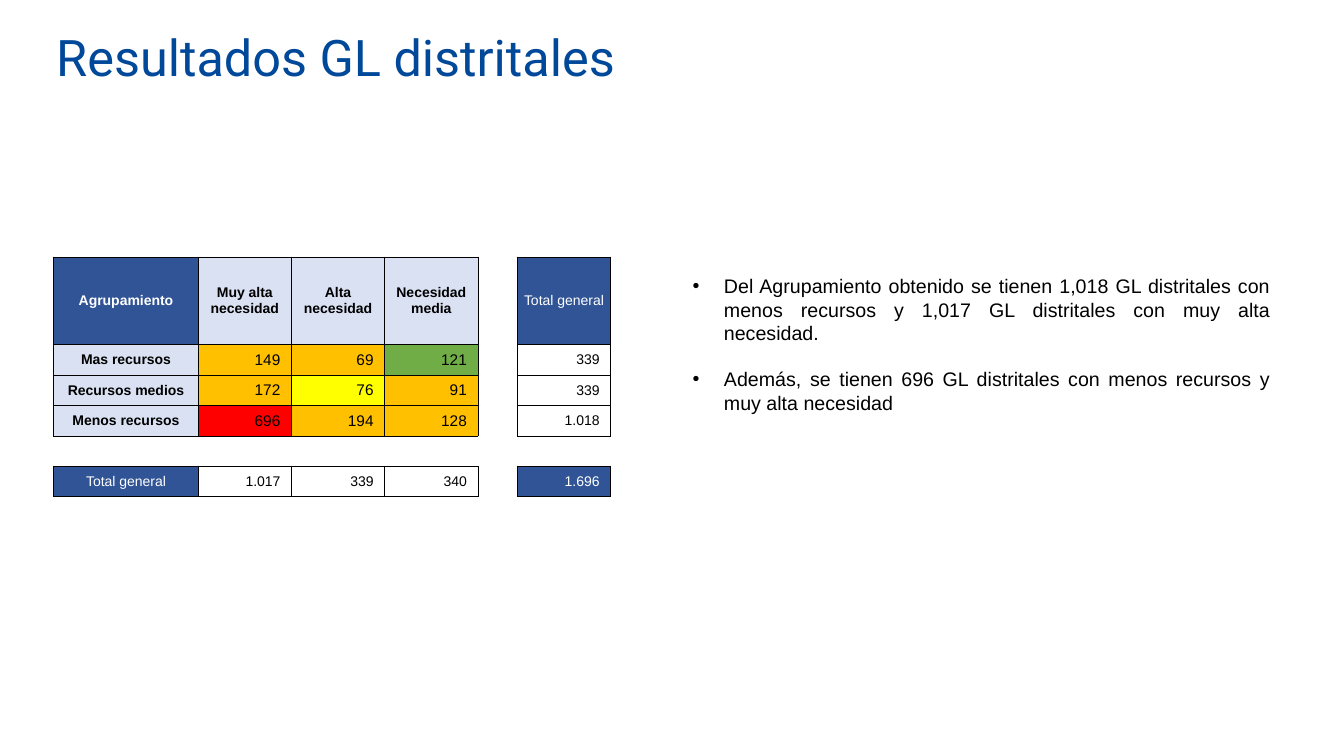
import pptx
import pptx.dml.color
import pptx.enum.text
import pptx.oxml
import pptx.oxml.ns
import pptx.util

RGBColor = pptx.dml.color.RGBColor
Align = pptx.enum.text.PP_ALIGN
Anchor = pptx.enum.text.MSO_ANCHOR
Pt = pptx.util.Pt
Inches = pptx.util.Inches

TITLE_BLUE = RGBColor(0x00, 0x48, 0x99)
NAVY = RGBColor(0x30, 0x54, 0x96)
PALE = RGBColor(0xD9, 0xE1, 0xF2)
AMBER = RGBColor(0xFF, 0xC0, 0x00)
GREEN = RGBColor(0x70, 0xAD, 0x47)
YELLOW = RGBColor(0xFF, 0xFF, 0x00)
RED = RGBColor(0xFF, 0x00, 0x00)
WHITE = RGBColor(0xFF, 0xFF, 0xFF)
BLACK = RGBColor(0x00, 0x00, 0x00)

CENTRE = {"alignment": Align.CENTER}
RIGHT = {"alignment": Align.RIGHT}
LABEL = {"name": "Arial", "size": Pt(10), "bold": True}
PLAIN = {**LABEL, "bold": False}
COUNT = {**PLAIN, "size": Pt(11)}

CELL_STYLES = {
    "corner": (NAVY, WHITE, LABEL, CENTRE),
    "heading": (PALE, BLACK, LABEL, CENTRE),
    "total": (NAVY, WHITE, PLAIN, CENTRE),
    "sum": (WHITE, BLACK, PLAIN, RIGHT),
    "grand": (NAVY, WHITE, PLAIN, RIGHT),
    "amber": (AMBER, BLACK, COUNT, RIGHT),
    "green": (GREEN, BLACK, COUNT, RIGHT),
    "yellow": (YELLOW, BLACK, COUNT, RIGHT),
    "red": (RED, BLACK, COUNT, RIGHT),
    "gap": (WHITE, BLACK, PLAIN, CENTRE),
}
GAP = ("", "gap")
GROUPS = [
    [("Agrupamiento", "corner"), ("Muy alta necesidad", "heading"),
     ("Alta necesidad", "heading"), ("Necesidad media", "heading"),
     GAP, ("Total general", "total")],
    [("Mas recursos", "heading"), ("149", "amber"), ("69", "amber"),
     ("121", "green"), GAP, ("339", "sum")],
    [("Recursos medios", "heading"), ("172", "amber"), ("76", "yellow"),
     ("91", "amber"), GAP, ("339", "sum")],
    [("Menos recursos", "heading"), ("696", "red"), ("194", "amber"),
     ("128", "amber"), GAP, ("1.018", "sum")],
    [GAP] * 6,
    [("Total general", "total"), ("1.017", "sum"), ("339", "sum"),
     ("340", "sum"), GAP, ("1.696", "grand")],
]
COLUMN_SHARES = [10.75, 6.94, 6.94, 6.94, 2.93, 6.94]
ROW_SHARES = [11.6, 4.03, 4.03, 4.03, 3.87, 3.87]
FINDINGS = [
    "Del Agrupamiento obtenido se tienen 1,018 GL distritales con menos "
    "recursos y 1,017 GL distritales con muy alta necesidad.",
    "Además, se tienen 696 GL distritales con menos recursos y muy alta necesidad",
]
EDGES = {"lnL": (0, -1), "lnR": (0, 1), "lnT": (-1, 0), "lnB": (1, 0)}


def apply(target, values):
    for name, value in values.items():
        setattr(target, name, value)


class SlideBuilder:
    """Draws styled elements on one slide, placed in percent of its size."""

    def __init__(self, deck):
        self.deck = deck
        self.slide = deck.slides.add_slide(deck.slide_layouts[6])

    def across(self, share):
        return round(self.deck.slide_width * share / 100)

    def down(self, share):
        return round(self.deck.slide_height * share / 100)

    def add_words(self, para, text, font, colour, layout):
        apply(para, layout)
        span = para.add_run()
        span.text = text
        apply(span.font, font)
        span.font.color.rgb = colour

    def frame(self, left, top, width, height, values):
        box = self.slide.shapes.add_textbox(
            self.across(left), self.down(top), self.across(width), self.down(height))
        apply(box.text_frame, {"word_wrap": True, **values})
        return box.text_frame

    def title(self, text, *place):
        frame = self.frame(*place, {"vertical_anchor": Anchor.MIDDLE})
        self.add_words(frame.paragraphs[0], text, {"name": "Roboto", "size": Pt(36)},
                       TITLE_BLUE, {"alignment": Align.LEFT})

    def bullets(self, texts, *place):
        sides = ("left", "top", "right", "bottom")
        frame = self.frame(*place, {f"margin_{side}": 0 for side in sides})
        for index, text in enumerate(texts):
            para = frame.add_paragraph() if index else frame.paragraphs[0]
            self.add_words(para, text, {"name": "Arial", "size": Pt(14)}, BLACK,
                           {"alignment": Align.JUSTIFY, "space_before": Pt(16 if index else 0)})
            properties = para._p.get_or_add_pPr()
            properties.set("marL", str(Inches(0.31)))
            properties.set("indent", str(-Inches(0.31)))
            for tag, name, value in (("buFont", "typeface", "Arial"), ("buChar", "char", "•")):
                bullet = properties.makeelement(pptx.oxml.ns.qn(f"a:{tag}"), {name: value})
                properties.append(bullet)

    def table(self, rows, left, top, column_shares, row_shares):
        table = self.slide.shapes.add_table(
            len(rows), len(column_shares), self.across(left), self.down(top),
            self.across(sum(column_shares)), self.down(sum(row_shares))).table
        apply(table, {"first_row": False, "horz_banding": False})
        for column, share in zip(table.columns, column_shares):
            column.width = self.across(share)
        for row, share in zip(table.rows, row_shares):
            row.height = self.down(share)
        filled = {(r, c) for r, row in enumerate(rows)
                  for c, (text, style) in enumerate(row) if text}
        for r, row in enumerate(rows):
            for c, (text, style) in enumerate(row):
                cell = table.cell(r, c)
                self.fill_cell(cell, text, *CELL_STYLES[style])
                self.borders(cell, [
                    bool({(r, c), (r + dr, c + dc)} & filled)
                    for dr, dc in EDGES.values()])

    def fill_cell(self, cell, text, fill, colour, font, layout):
        inset = Inches(0.11 if layout is RIGHT else 0.01)
        apply(cell, {"vertical_anchor": Anchor.MIDDLE, "margin_left": Inches(0.01),
                     "margin_right": inset, "margin_top": 0, "margin_bottom": 0})
        cell.fill.solid()
        cell.fill.fore_color.rgb = fill
        self.add_words(cell.text_frame.paragraphs[0], text, font, colour, layout)

    def borders(self, cell, drawn):
        properties = cell._tc.get_or_add_tcPr()
        solid = f'<a:solidFill><a:srgbClr val="{BLACK}"/></a:solidFill>'
        for index, (edge, shown) in enumerate(zip(EDGES, drawn)):
            paint = solid if shown else "<a:noFill/>"
            properties.insert(index, pptx.oxml.parse_xml(
                f'<a:{edge} {pptx.oxml.ns.nsdecls("a")} w="{Pt(0.5)}">{paint}</a:{edge}>'))


def main():
    deck = pptx.Presentation()
    apply(deck, {"slide_width": Inches(13.33), "slide_height": Inches(7.5)})
    page = SlideBuilder(deck)
    page.title("Resultados GL distritales", 3.45, 2.13, 89.72, 10.53)
    page.bullets(FINDINGS, 51.54, 36.27, 42.99, 18.8)
    page.table(GROUPS, 4, 34, COLUMN_SHARES, ROW_SHARES)
    deck.save("out.pptx")


if __name__ == "__main__":
    main()
